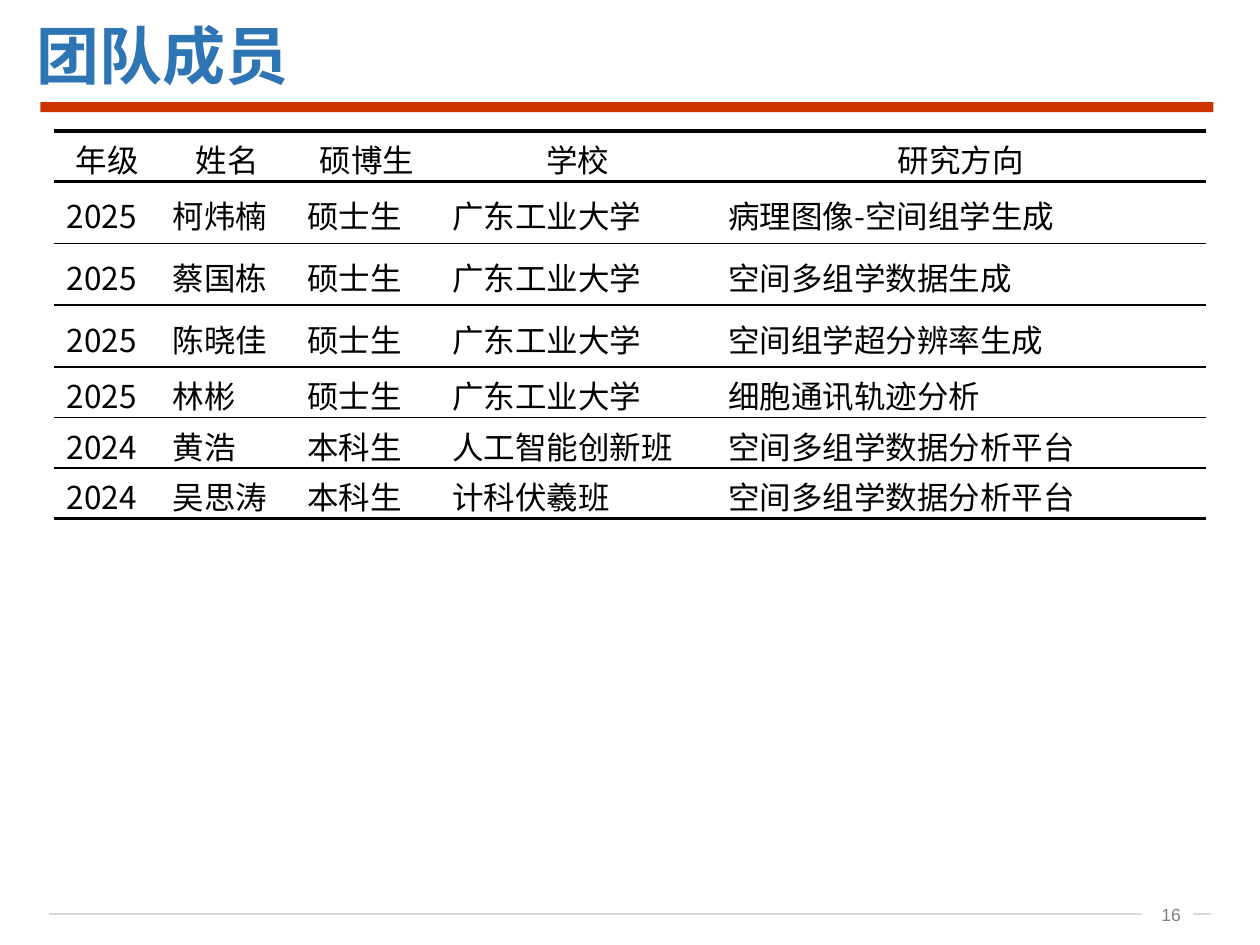
from lxml import etree
from pptx import Presentation
from pptx.dml.color import RGBColor
from pptx.enum.shapes import MSO_CONNECTOR, MSO_SHAPE
from pptx.enum.text import MSO_ANCHOR, PP_ALIGN
from pptx.oxml.ns import qn
from pptx.util import Inches, Pt

LINE, RECT = MSO_CONNECTOR.STRAIGHT, MSO_SHAPE.RECTANGLE
MID = MSO_ANCHOR.MIDDLE
LEFT, MIDDLE, RIGHT = PP_ALIGN.LEFT, PP_ALIGN.CENTER, PP_ALIGN.RIGHT
HAN = "Noto Sans CJK SC"
PLAIN = "{2D5ABB26-0587-4C30-8999-92F81FD0307C}"  # table style without grid
HUES = {"title": "2E75B6", "bar": "CC3300", "rule": "D9D9D9",
        "page": "808080", "ink": "000000", "paper": "FFFFFF"}

HEADS = ["年级", "姓名", "硕博生", "学校", "研究方向"]
TEAM = [
    ["2025", "柯炜楠", "硕士生", "广东工业大学", "病理图像-空间组学生成"],
    ["2025", "蔡国栋", "硕士生", "广东工业大学", "空间多组学数据生成"],
    ["2025", "陈晓佳", "硕士生", "广东工业大学", "空间组学超分辨率生成"],
    ["2025", "林彬", "硕士生", "广东工业大学", "细胞通讯轨迹分析"],
    ["2024", "黄浩", "本科生", "人工智能创新班", "空间多组学数据分析平台"],
    ["2024", "吴思涛", "本科生", "计科伏羲班", "空间多组学数据分析平台"],
]
COLS = [0.84, 1.07, 1.15, 2.19, 3.89]
ROWS = [0.4] + [0.49] * 3 + [0.4] * 3
THICK, THIN = 2.25, 1


def hue(name):
    return RGBColor.from_string(HUES[name])


def write(frame, text, size=18, font=HAN, color="ink", bold=False, align=LEFT):
    para = frame.paragraphs[0]
    para.alignment = align
    run = para.add_run()
    run.text = text
    run.font.size, run.font.name, run.font.bold = Pt(size), font, bold
    run.font.color.rgb = hue(color)
    # East Asian face
    etree.SubElement(run.font._element, qn("a:ea"), typeface=HAN)
    return para


def block(slide, box, color):
    shape = slide.shapes.add_shape(RECT, *map(Inches, box))
    shape.shadow.inherit = False
    shape.fill.solid()
    shape.fill.fore_color.rgb = hue(color)
    shape.line.fill.background()
    return shape


def edge(cell, side, width):
    ln = etree.SubElement(cell._tc.get_or_add_tcPr(), qn("a:" + side),
                          w=str(Pt(width)))
    fill = etree.SubElement(ln, qn("a:solidFill"))
    etree.SubElement(fill, qn("a:srgbClr"), val=HUES["ink"])


def header(slide, box):
    left, top, width, height = box
    title = slide.shapes.title
    title.left, title.top = Inches(left), Inches(top)
    title.width, title.height = Inches(width), Inches(height)
    frame = title.text_frame
    frame.vertical_anchor = MID
    para = write(frame, "团队成员", size=36, font="Times New Roman",
                 color="title", bold=True)
    para.line_spacing = 0.9
    ppr = para._p.get_or_add_pPr()
    ppr.set("marL", "0")
    ppr.set("indent", str(Inches(0.19)))
    # Red bar under the title
    block(slide, (left + 0.32, top + 0.81, width - 0.69, 0.08), "bar")


def roster(slide, left, top):
    data = [HEADS] + TEAM
    table = slide.shapes.add_table(
        len(data), len(COLS), Inches(left), Inches(top),
        Inches(sum(COLS)), Inches(sum(ROWS))).table
    table.first_row = table.horz_banding = False
    table._tbl.tblPr.find(qn("a:tableStyleId")).text = PLAIN
    for col, width in zip(table.columns, COLS):
        col.width = Inches(width)
    for row, height in zip(table.rows, ROWS):
        row.height = Inches(height)

    # Heavy rules above and below the heads and at the foot
    rules = [THICK, THICK] + [THIN] * (len(TEAM) - 1) + [THICK]
    for r, items in enumerate(data):
        for c, text in enumerate(items):
            cell = table.cell(r, c)
            cell.vertical_anchor = MID
            cell.margin_top, cell.margin_bottom = Inches(0.04), 0
            edge(cell, "lnT", rules[r])
            edge(cell, "lnB", rules[r + 1])
            cell.fill.background()
            write(cell.text_frame, text, align=LEFT if r else MIDDLE)


def footer(slide, box):
    left, top, width, height = box
    mid = Inches(top + height / 2)
    rule = slide.shapes.add_connector(
        LINE, Inches(left), mid, Inches(left + width), mid)
    rule.line.color.rgb = hue("rule")
    rule.line.width = Pt(0.75)
    etree.SubElement(rule._element.spPr, qn("a:effectLst"))
    # Page number sits in a gap near the right end
    page = block(slide, (left + width - 0.55, top, 0.41, height), "paper")
    frame = page.text_frame
    frame.word_wrap = False
    frame.vertical_anchor = MID
    write(frame, "16", size=10, font="Arial", color="page", align=RIGHT)


def main():
    deck = Presentation()
    deck.slide_width, deck.slide_height = Inches(10), Inches(7.5)
    slide = deck.slides.add_slide(deck.slide_layouts[5])
    footer(slide, (0.39, 7.12, 9.22, 0.27))
    header(slide, (0, 0, 10, 0.94))
    roster(slide, 0.43, 1.04)
    deck.save("out.pptx")


if __name__ == "__main__":
    main()
